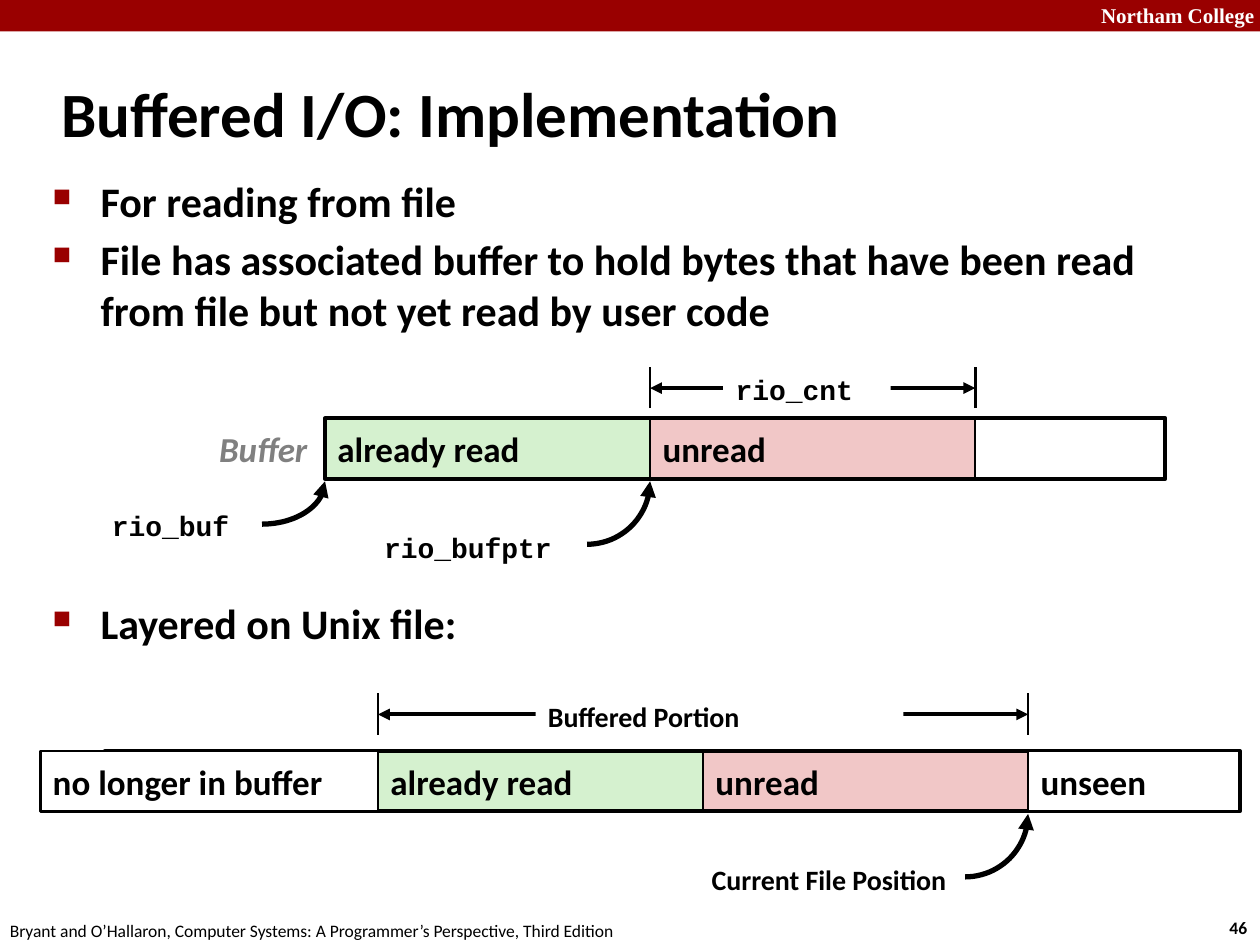
import math
from lxml import etree
from pptx import Presentation
from pptx.dml.color import RGBColor
from pptx.enum import shapes, text
from pptx.oxml import parse_xml
from pptx.oxml.ns import nsdecls, qn
from pptx.util import Inches, Pt

RED = RGBColor(0x99, 0x00, 0x00)
BLACK = RGBColor(0x00, 0x00, 0x00)
WHITE = RGBColor(0xFF, 0xFF, 0xFF)
GREY = RGBColor(0x80, 0x80, 0x80)
GREEN = RGBColor(0xD5, 0xF1, 0xCF)
PINK = RGBColor(0xF1, 0xC7, 0xC7)
SANS, MONO, SERIF = "Calibri", "Courier New", "Times New Roman"
CELL, HIGH = Inches(2.58), Inches(0.48)


def style(par, size, face=SANS, color=BLACK, bold=True):
    """Set the font of one paragraph."""
    font = par.font
    font.name, font.size, font.bold = face, Pt(size), bold
    font.color.rgb = color


def label(slide, box, words, size, face=SANS, color=BLACK, bold=True, wrap=True):
    """Place a one-paragraph text box and return it."""
    item = slide.shapes.add_textbox(*box)
    frame = item.text_frame
    frame.word_wrap = wrap
    par = frame.paragraphs[0]
    par.text = words
    style(par, size, face, color, bold)
    return item


def rect(slide, box, fill=None, width=None, words=None):
    """Place a rectangle with optional fill, outline and text."""
    item = slide.shapes.add_shape(shapes.MSO_SHAPE.RECTANGLE, *box)
    item.shadow.inherit = False
    if fill is None:
        item.fill.background()
    else:
        item.fill.solid()
        item.fill.fore_color.rgb = fill
    if width is None:
        item.line.fill.background()
    else:
        item.line.color.rgb = BLACK
        item.line.width = Pt(width)
    if words:
        frame = item.text_frame
        frame.word_wrap = False
        frame.vertical_anchor = text.MSO_ANCHOR.MIDDLE
        par = frame.paragraphs[0]
        par.text = words
        par.alignment = text.PP_ALIGN.LEFT
        style(par, 20)


def tips(item, *ends):
    """Add triangle arrowheads to the named ends of a line."""
    node = item._element.spPr.find(qn("a:ln"))
    for end in ends:
        etree.SubElement(node, qn("a:" + end), type="triangle")


def stroke(slide, start, stop, width):
    """Draw a straight black line and return it."""
    item = slide.shapes.add_connector(shapes.MSO_CONNECTOR.STRAIGHT, *start, *stop)
    item.line.color.rgb = BLACK
    item.line.width = Pt(width)
    etree.SubElement(item._element.spPr, qn("a:effectLst"))
    return item


def span(slide, box, words, inner, face):
    """Mark a width with two ticks, a double arrow and a label."""
    left, top, wide, high = box
    for x in (left, left + wide):
        stroke(slide, (x, top + high), (x, top), 1.5)
    mid = top + Inches(0.17)
    arrow = stroke(slide, (left, mid), (left + wide, mid), 2.25)
    tips(arrow, "headEnd", "tailEnd")
    start, width = inner
    tag = label(slide, (left + start, top, width, Inches(0.34)), words, 16, face)
    tag.fill.solid()
    tag.fill.fore_color.rgb = WHITE


def hook(slide, tip, wide, high):
    """Draw a quarter-ellipse arrow that rises to its tip."""
    x, y = tip
    steps = 24
    turns = [math.pi / 2 * i / steps for i in range(steps + 1)]
    dots = [(round(x - wide + wide * math.cos(a)), round(y + high * math.sin(a)))
            for a in turns]
    build = slide.shapes.build_freeform(*dots[0])
    build.add_line_segments(dots[1:], close=False)
    item = build.convert_to_shape()
    item.shadow.inherit = False
    item.fill.background()
    item.line.color.rgb = BLACK
    item.line.width = Pt(3)
    tips(item, "headEnd")


def frame_page(slide, wide, high):
    """Place the top band and the footer."""
    rect(slide, (0, 0, wide, Inches(0.25)), RED)
    label(slide, (wide - Inches(1.36), Inches(-0.03), Inches(1.43), Inches(0.3)),
          "Northam College", 12, SERIF, WHITE, wrap=False)
    label(slide, (wide - Inches(0.34), high - Inches(0.27), Inches(0.37), Inches(0.27)),
          "46", 10, wrap=False)
    label(slide, (Inches(-0.02), high - Inches(0.25), Inches(5.08), Inches(0.27)),
          "Bryant and O’Hallaron, Computer Systems: A Programmer’s Perspective, Third Edition",
          10, bold=False, wrap=False)


def points(slide, box):
    """Place the bulleted statements."""
    frame = slide.shapes.add_textbox(*box).text_frame
    frame.word_wrap = True
    rows = [("For reading from file", 4.8),
            ("File has associated buffer to hold bytes that have been read "
             "from file but not yet read by user code", 4.8),
            ("Layered on Unix file:", 150)]
    for i, (words, gap) in enumerate(rows):
        par = frame.add_paragraph() if i else frame.paragraphs[0]
        par.text = words
        style(par, 24)
        par.space_before = Pt(gap)
        props = par._p.get_or_add_pPr()
        props.set("marL", str(Inches(0.38)))
        props.set("indent", str(-Inches(0.38)))
        for xml in (f'<a:buClr {nsdecls("a")}><a:srgbClr val="{RED}"/></a:buClr>',
                    f'<a:buSzPct {nsdecls("a")} val="60000"/>',
                    f'<a:buChar {nsdecls("a")} char="■"/>'):
            props.insert_element_before(parse_xml(xml), "a:tabLst", "a:defRPr", "a:extLst")


def halves(slide, left, top):
    """Place the read and unread cells side by side."""
    rect(slide, (left + CELL, top, CELL, HIGH), PINK, 1.5, "unread")
    rect(slide, (left, top, CELL, HIGH), GREEN, 1.5, "already read")


def buffer(slide, box):
    """Draw the buffer bar with its pointers and count."""
    left, top, wide, high = box
    halves(slide, left, top)
    rect(slide, box, None, 2.25)
    name = label(slide, (left - Inches(0.94), top + Inches(0.02), Inches(0.93), Inches(0.44)),
                 "Buffer", 20, color=GREY, wrap=False)
    name.text_frame.paragraphs[0].font.italic = True
    base = top + high + Inches(0.02)
    hook(slide, (left, base), Inches(0.5), Inches(0.34))
    hook(slide, (left + CELL, base), Inches(0.5), Inches(0.5))
    label(slide, (left - Inches(1.79), base + Inches(0.17), Inches(1.14), Inches(0.34)),
          "rio_buf", 16, MONO)
    label(slide, (left + Inches(0.37), base + Inches(0.34), Inches(1.75), Inches(0.34)),
          "rio_bufptr", 16, MONO)
    span(slide, (left + CELL, top - Inches(0.41), CELL, Inches(0.33)),
         "rio_cnt", (Inches(0.58), Inches(1.33)), MONO)


def layers(slide, box):
    """Draw the file bar with its buffered portion and position."""
    left, top, wide, high = box
    lead = Inches(2.68)
    start, stop = left + lead, left + lead + 2 * CELL
    halves(slide, start, top)
    rect(slide, (left + Inches(0.51), top, wide - Inches(0.51), high), None, 2.25)
    rect(slide, (left, top, lead, high), WHITE, 1.5, "no longer in buffer")
    rect(slide, (stop, top, left + wide - stop, high), WHITE, 1.5, "unseen")
    base = top + high + Inches(0.02)
    hook(slide, (stop, base), Inches(0.5), Inches(0.5))
    note = label(slide, (stop - Inches(3.38), base + Inches(0.34), Inches(2.83), Inches(0.37)),
                 "Current File Position", 16)
    note.text_frame.paragraphs[0].alignment = text.PP_ALIGN.RIGHT
    span(slide, (start, top - Inches(0.46), 2 * CELL, Inches(0.33)),
         "Buffered Portion", (Inches(1.25), Inches(2.92)), SANS)


def main():
    """Build the slide and save it."""
    deck = Presentation()
    deck.slide_width, deck.slide_height = Inches(10), Inches(7.5)
    slide = deck.slides.add_slide(deck.slide_layouts[6])
    frame_page(slide, deck.slide_width, deck.slide_height)
    title = label(slide, (Inches(0.39), Inches(0.48), Inches(8.3), Inches(0.83)),
                  "Buffered I/O: Implementation", 36)
    title.text_frame.vertical_anchor = text.MSO_ANCHOR.MIDDLE
    points(slide, (Inches(0.32), Inches(1.34), Inches(9.09), Inches(4.33)))
    buffer(slide, (Inches(2.58), Inches(3.32), Inches(6.67), HIGH))
    layers(slide, (Inches(0.32), Inches(5.96), Inches(9.52), HIGH))
    deck.save("out.pptx")


if __name__ == "__main__":
    main()
